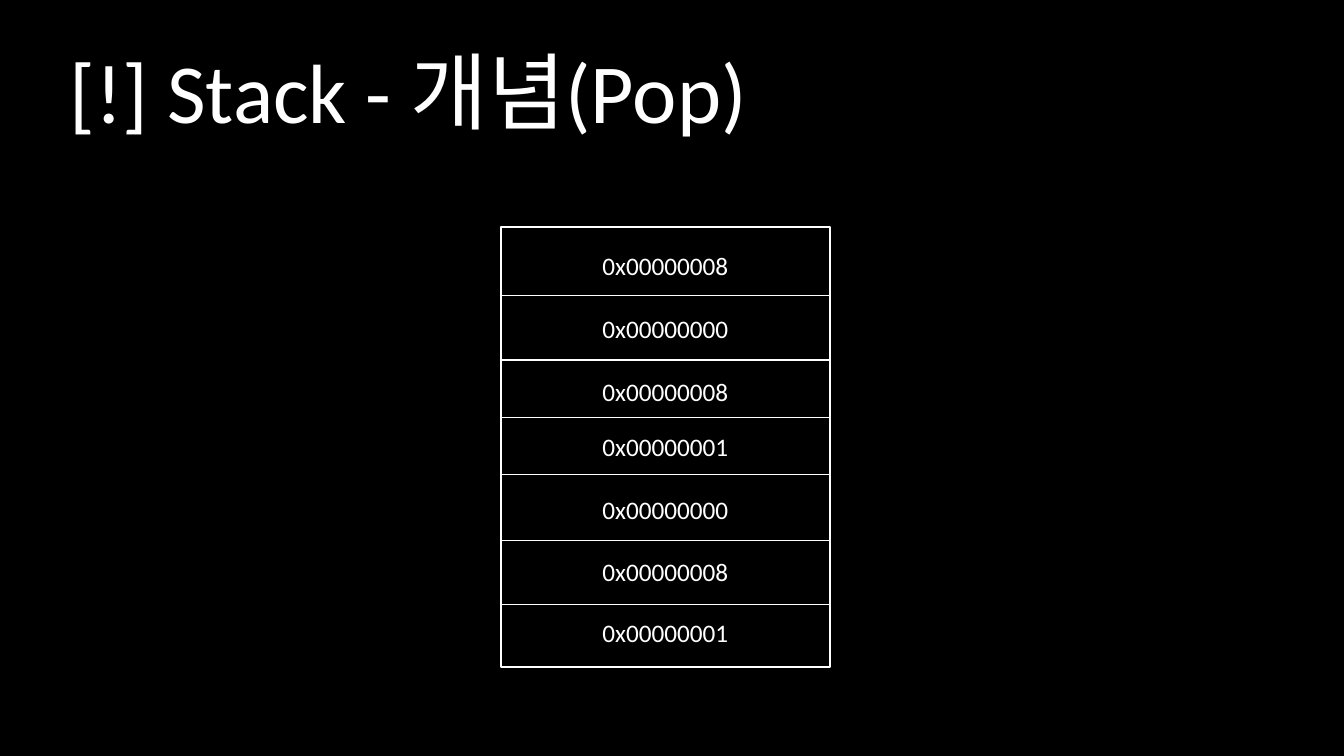
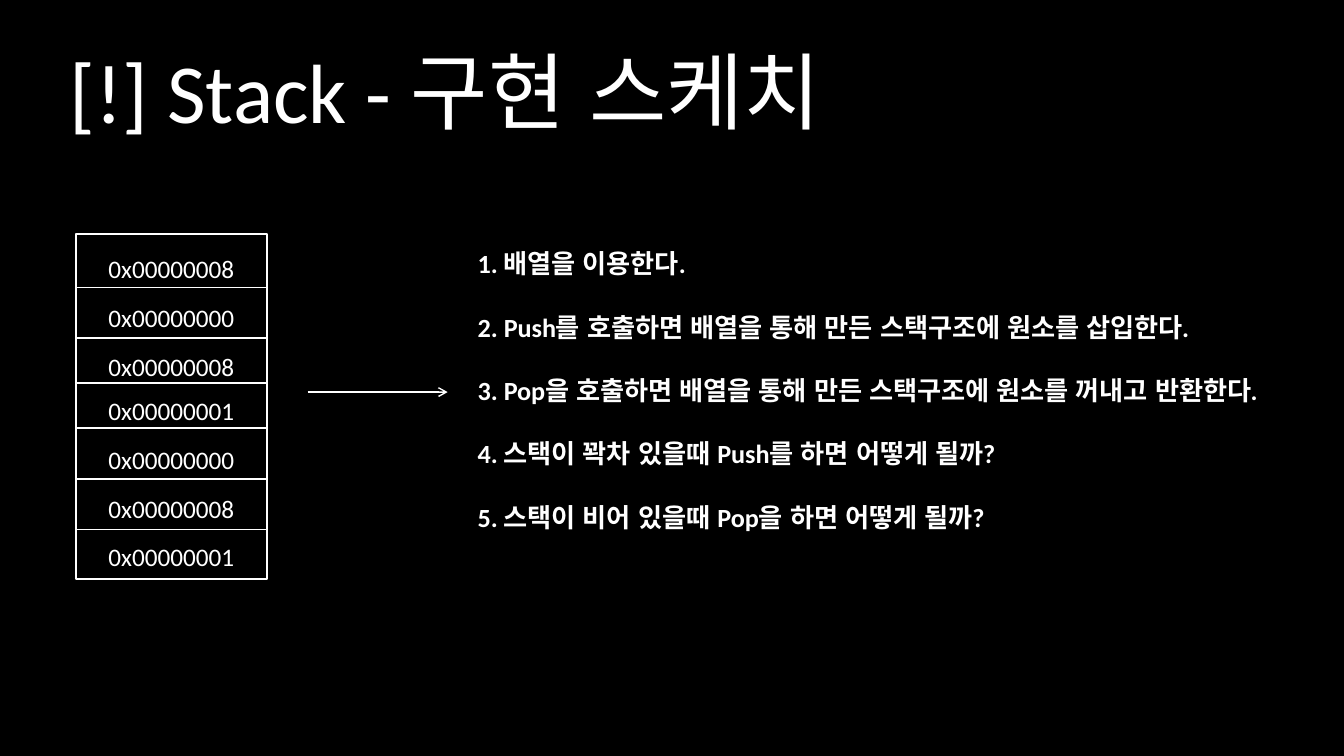
import pptx
import pptx.dml.color
import pptx.enum.lang
import pptx.enum.shapes
import pptx.enum.text
import pptx.oxml
import pptx.oxml.ns
import pptx.util
from pptx.util import Inches

COLORS = {"background": "000000", "foreground": "FFFFFF"}
FONT = {"name": "Calibri", "language_id": pptx.enum.lang.MSO_LANGUAGE_ID.KOREAN}
TITLE_FONT = {**FONT, "size": pptx.util.Pt(60), "bold": False}
VALUE_FONT = {**FONT, "size": pptx.util.Pt(18)}
STEP_FONT = {**FONT, "size": pptx.util.Pt(18.67), "bold": True}

FRAME_FORMAT = {
    "word_wrap": True,
    "auto_size": pptx.enum.text.MSO_AUTO_SIZE.NONE,
    "vertical_anchor": pptx.enum.text.MSO_ANCHOR.TOP,
}
LEFT = pptx.enum.text.PP_ALIGN.LEFT
CENTER = pptx.enum.text.PP_ALIGN.CENTER

# Stack measures in inches from its top edge, at full height.
STACK_HEIGHT = 4.37
DIVIDERS = [0.68, 1.32, 1.89, 2.46, 3.11, 3.75]
VALUES = [
    (0.18, "0x00000008"),
    (0.81, "0x00000000"),
    (1.43, "0x00000008"),
    (1.98, "0x00000001"),
    (2.61, "0x00000000"),
    (3.22, "0x00000008"),
    (3.83, "0x00000001"),
]

STEPS = [
    "1. 배열을 이용한다.",
    "2. Push를 호출하면 배열을 통해 만든 스택구조에 원소를 삽입한다.",
    "3. Pop을 호출하면 배열을 통해 만든 스택구조에 원소를 꺼내고 반환한다.",
    "4. 스택이 꽉차 있을때 Push를 하면 어떻게 될까?",
    "5. 스택이 비어 있을때 Pop을 하면 어떻게 될까?",
]


def color(name):
    return pptx.dml.color.RGBColor.from_string(COLORS[name])


def set_attributes(target, values):
    for name, value in values.items():
        setattr(target, name, value)


def write_paragraphs(shape, texts, font, alignment=LEFT, gap=0):
    """Fill a shape with one paragraph per text, gap points apart."""
    frame = shape.text_frame
    set_attributes(frame, FRAME_FORMAT)
    for index, text in enumerate(texts):
        paragraph = frame.add_paragraph() if index else frame.paragraphs[0]
        paragraph.alignment = alignment
        paragraph.space_before = pptx.util.Pt(gap if index else 0)
        run = paragraph.add_run()
        run.text = text
        set_attributes(run.font, font)
        run.font.color.rgb = color("foreground")


def add_text(shapes, left, top, width, height, texts, font, **layout):
    box = shapes.add_textbox(Inches(left), Inches(top), Inches(width), Inches(height))
    write_paragraphs(box, texts, font, **layout)


def style_line(line, width):
    line.color.rgb = color("foreground")
    line.width = pptx.util.Pt(width)


def add_horizontal_line(shapes, left, right, y, arrow=False):
    line = shapes.add_connector(
        pptx.enum.shapes.MSO_CONNECTOR.STRAIGHT,
        Inches(left), Inches(y), Inches(right), Inches(y),
    )
    style_line(line.line, 1)
    properties = line._element.spPr
    if arrow:
        tail = pptx.oxml.parse_xml(
            f'<a:tailEnd {pptx.oxml.ns.nsdecls("a")} type="arrow"/>'
        )
        properties.find(pptx.oxml.ns.qn("a:ln")).append(tail)
    properties.append(
        pptx.oxml.parse_xml(f'<a:effectLst {pptx.oxml.ns.nsdecls("a")}/>')
    )


def add_stack(shapes, left, top, width, height):
    """Draw the framed stack, scaling its row positions to the height."""
    scale = height / STACK_HEIGHT
    frame = shapes.add_shape(
        pptx.enum.shapes.MSO_SHAPE.RECTANGLE,
        Inches(left), Inches(top), Inches(width), Inches(height),
    )
    frame.shadow.inherit = False
    frame.fill.background()
    style_line(frame.line, 1.5)
    for offset in DIVIDERS:
        add_horizontal_line(shapes, left, left + width, top + offset * scale)
    for offset, value in VALUES:
        add_text(shapes, left, top + offset * scale, width, 0.4,
                 [value], VALUE_FONT, alignment=CENTER)


def add_titled_slide(presentation, title):
    slide = presentation.slides.add_slide(
        presentation.slide_layouts.get_by_name("Title Only")
    )
    fill = slide.background.fill
    fill.solid()
    fill.fore_color.rgb = color("background")
    set_attributes(slide.shapes.title, {
        "left": Inches(0.59), "top": Inches(0.34),
        "width": Inches(8.33), "height": Inches(1.1),
    })
    write_paragraphs(slide.shapes.title, [title], TITLE_FONT)
    return slide


def add_pop_slide(presentation):
    slide = add_titled_slide(presentation, "[!] Stack - 개념(Pop)")
    add_stack(slide.shapes, 4.97, 2.25, 3.26, STACK_HEIGHT)


def add_sketch_slide(presentation):
    slide = add_titled_slide(presentation, "[!] Stack - 구현 스케치")
    add_stack(slide.shapes.add_group_shape().shapes, 0.75, 2.32, 1.9, 3.42)
    add_horizontal_line(slide.shapes, 3.05, 4.44, 3.89, arrow=True)
    add_text(slide.shapes, 4.64, 2.41, 8.6, 2.95, STEPS, STEP_FONT, gap=22.8)


def main():
    presentation = pptx.Presentation()
    presentation.slide_width = Inches(13.33)
    presentation.slide_height = Inches(7.5)
    add_pop_slide(presentation)
    add_sketch_slide(presentation)
    presentation.save("out.pptx")


if __name__ == "__main__":
    main()
